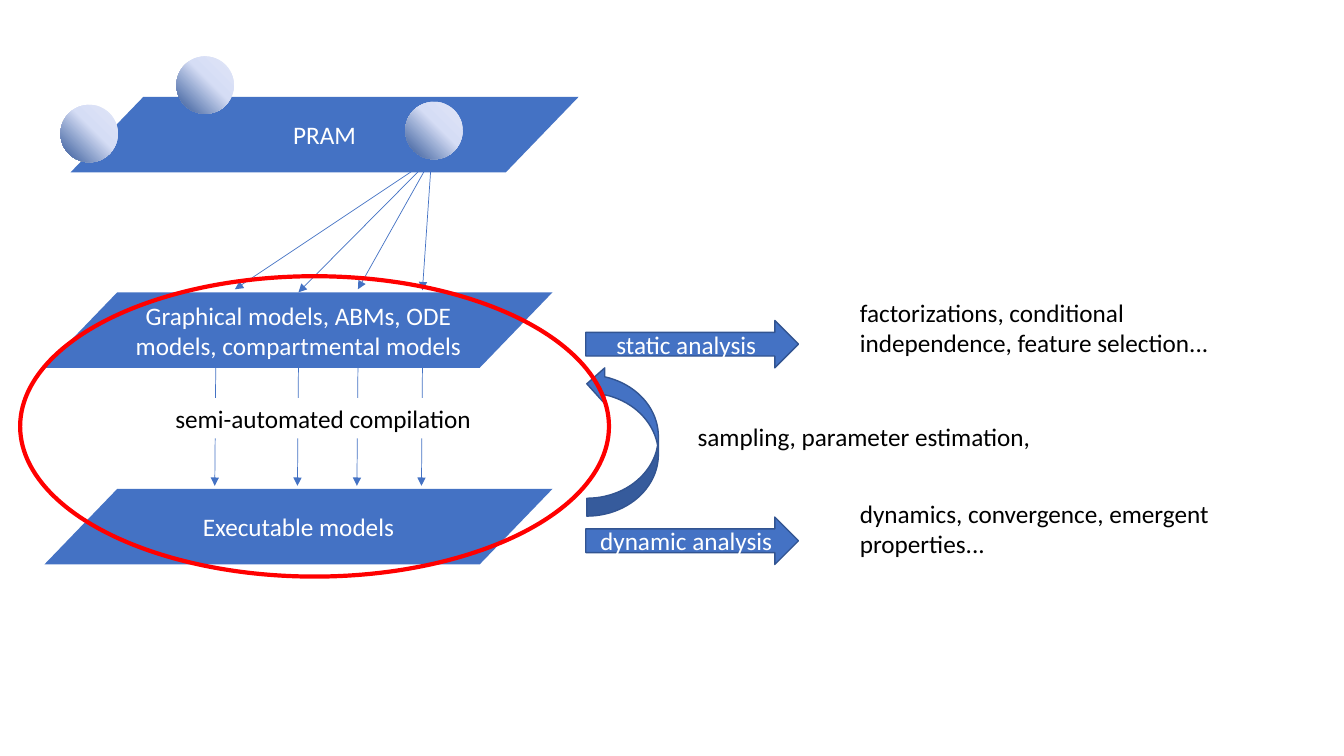
from pptx import Presentation
from pptx.dml.color import RGBColor
from pptx.enum.shapes import MSO_CONNECTOR, MSO_SHAPE
from pptx.enum.text import MSO_ANCHOR, MSO_AUTO_SIZE, PP_ALIGN
from pptx.oxml import parse_xml
from pptx.oxml.ns import nsdecls
from pptx.util import Inches, Pt

STRAIGHT = MSO_CONNECTOR.STRAIGHT
PARALLELOGRAM = MSO_SHAPE.PARALLELOGRAM
OVAL = MSO_SHAPE.OVAL
RIGHT_ARROW = MSO_SHAPE.RIGHT_ARROW
CURVED_ARROW = MSO_SHAPE.CURVED_RIGHT_ARROW
CENTER, LEFT = PP_ALIGN.CENTER, PP_ALIGN.LEFT
MIDDLE = MSO_ANCHOR.MIDDLE
FIT_SHAPE = MSO_AUTO_SIZE.SHAPE_TO_FIT_TEXT

BLUE = RGBColor(0x44, 0x72, 0xC4)
DARK_BLUE = RGBColor(0x32, 0x54, 0x91)
RED = RGBColor(0xFF, 0x00, 0x00)
WHITE = RGBColor(0xFF, 0xFF, 0xFF)
BLACK = RGBColor(0x00, 0x00, 0x00)
BALL_STOPS = ((0, RGBColor(0x2F, 0x55, 0x97)),
              (57, RGBColor(0xD5, 0xDD, 0xF5)),
              (100, RGBColor(0xE0, 0xE5, 0xF7)))
BALL_SIZE = 0.57


def set_text(s, text, color, align):
    tf = s.text_frame
    tf.word_wrap = True
    tf.text = text
    p = tf.paragraphs[0]
    p.alignment = align
    font = p.runs[0].font
    font.name, font.size, font.color.rgb = "Calibri", Pt(18), color


def add_shape(slide, kind, box, fill=None, line=None, width=1, text=None):
    s = slide.shapes.add_shape(kind, *map(Inches, box))
    s.shadow.inherit = False
    if fill is None:
        s.fill.background()
    else:
        s.fill.solid()
        s.fill.fore_color.rgb = fill
    if line is None:
        s.line.fill.background()
    else:
        s.line.color.rgb = line
        s.line.width = Pt(width)
    if text:
        set_text(s, text, WHITE, CENTER)
        s.text_frame.vertical_anchor = MIDDLE
    return s


def add_layer(slide, x, y, text):
    s = add_shape(slide, PARALLELOGRAM, (x, y, 5.04, 0.75), BLUE, text=text)
    s.adjustments[0] = 0.964


def add_ball(slide, x, y):
    """Add a sphere shaded outwards from its lower left."""
    s = add_shape(slide, OVAL, (x, y, BALL_SIZE, BALL_SIZE))
    stops = "".join(
        f'<a:gs pos="{pos * 1000}"><a:srgbClr val="{color}"/></a:gs>'
        for pos, color in BALL_STOPS)
    gradient = parse_xml(
        f'<a:gradFill {nsdecls("a")}><a:gsLst>{stops}</a:gsLst>'
        '<a:path path="circle"><a:fillToRect t="100000" r="100000"/></a:path>'
        '</a:gradFill>')
    sp_pr = s._element.spPr
    sp_pr.replace(sp_pr.find("{*}noFill"), gradient)


def add_arrow(slide, start, end):
    s = slide.shapes.add_connector(STRAIGHT, *map(Inches, start + end))
    s.line.color.rgb = BLUE
    s.line.width = Pt(0.5)
    s.line._get_or_add_ln().append(
        parse_xml(f'<a:tailEnd {nsdecls("a")} type="triangle"/>'))
    s._element.spPr.append(parse_xml(f'<a:effectLst {nsdecls("a")}/>'))


def add_label(slide, box, text):
    s = slide.shapes.add_textbox(*map(Inches, box))
    set_text(s, text, BLACK, LEFT)
    s.text_frame.auto_size = FIT_SHAPE
    return s


def main():
    prs = Presentation()
    prs.slide_width, prs.slide_height = Inches(13.33), Inches(7.5)
    slide = prs.slides.add_slide(prs.slide_layouts[6])

    add_layer(slide, 0.7, 0.96, "PRAM")
    add_layer(slide, 0.44, 2.9,
              "Graphical models, ABMs, ODE models, compartmental models")
    add_layer(slide, 0.44, 4.85, "Executable models")

    for end in ((2.33, 2.87), (2.96, 2.9), (3.55, 2.87), (4.19, 2.88)):
        add_arrow(slide, (4.28, 1.57), end)
    for x in (2.14, 2.96, 3.55, 4.19):
        add_arrow(slide, (x, 3.65), (x - 0.01, 4.82))
    for x, y in ((4.02, 1.01), (1.75, 0.56), (0.6, 1.04)):
        add_ball(slide, x, y)

    compilation = add_label(slide, (1.64, 3.95, 3.18, 0.4),
                            "semi-automated compilation")
    compilation.fill.solid()
    compilation.fill.fore_color.rgb = WHITE

    for y, text in ((5.13, "dynamic analysis"), (3.18, "static analysis")):
        add_shape(slide, RIGHT_ARROW, (5.81, y, 2.11, 0.47),
                  BLUE, DARK_BLUE, text=text)
    add_label(slide, (8.43, 2.9, 3.9, 0.71),
              "factorizations, conditional independence, feature selection...")
    add_label(slide, (8.43, 4.89, 3.9, 0.71),
              "dynamics, convergence, emergent properties...")

    feedback = add_shape(slide, CURVED_ARROW, (5.82, 3.63, 0.71, 1.49),
                         BLUE, DARK_BLUE)
    feedback.rotation = 180
    add_label(slide, (6.82, 4.13, 4.29, 0.4), "sampling, parameter estimation,")
    add_shape(slide, OVAL, (0.2, 2.74, 5.84, 2.98), line=RED, width=3)

    prs.save("out.pptx")


if __name__ == "__main__":
    main()
